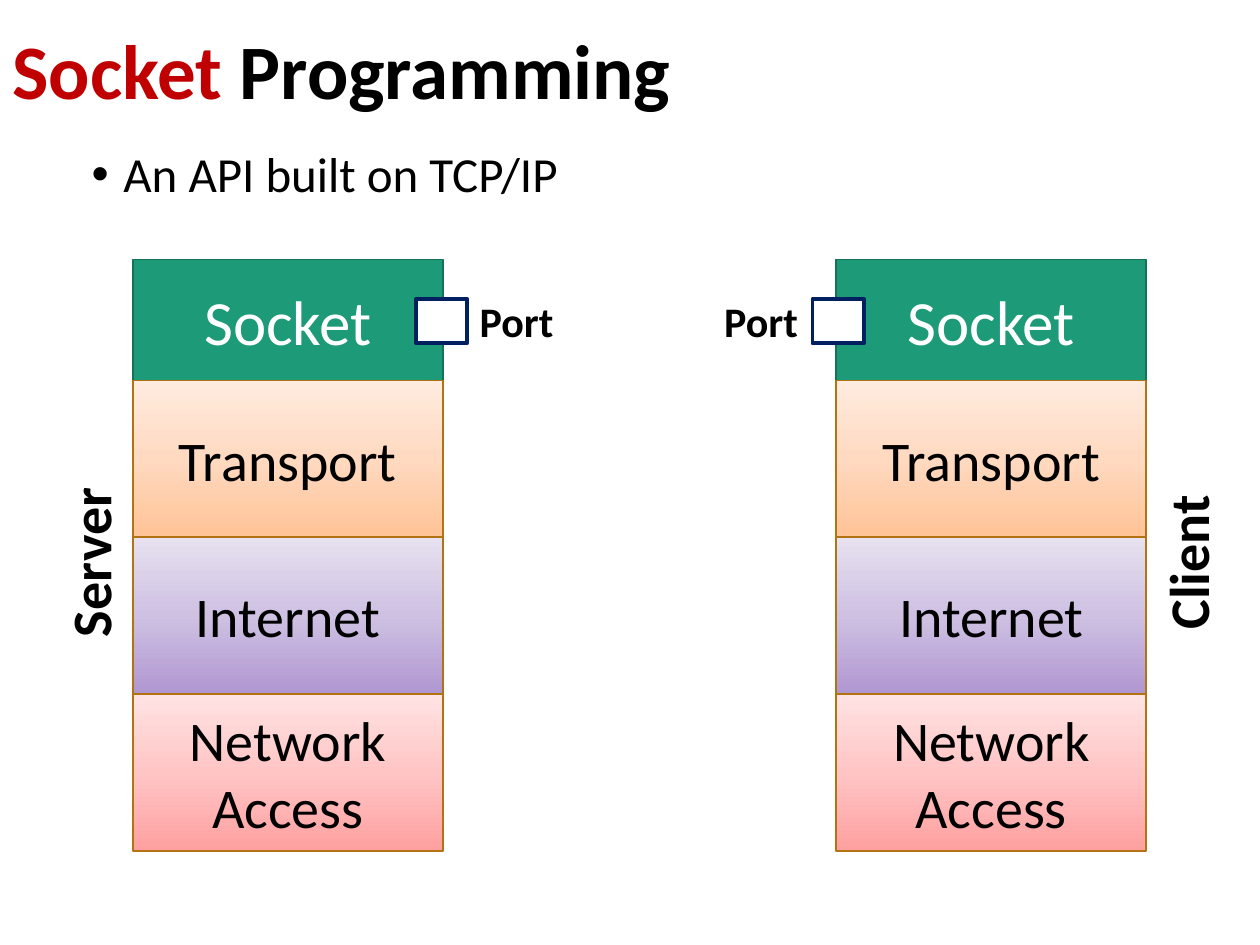
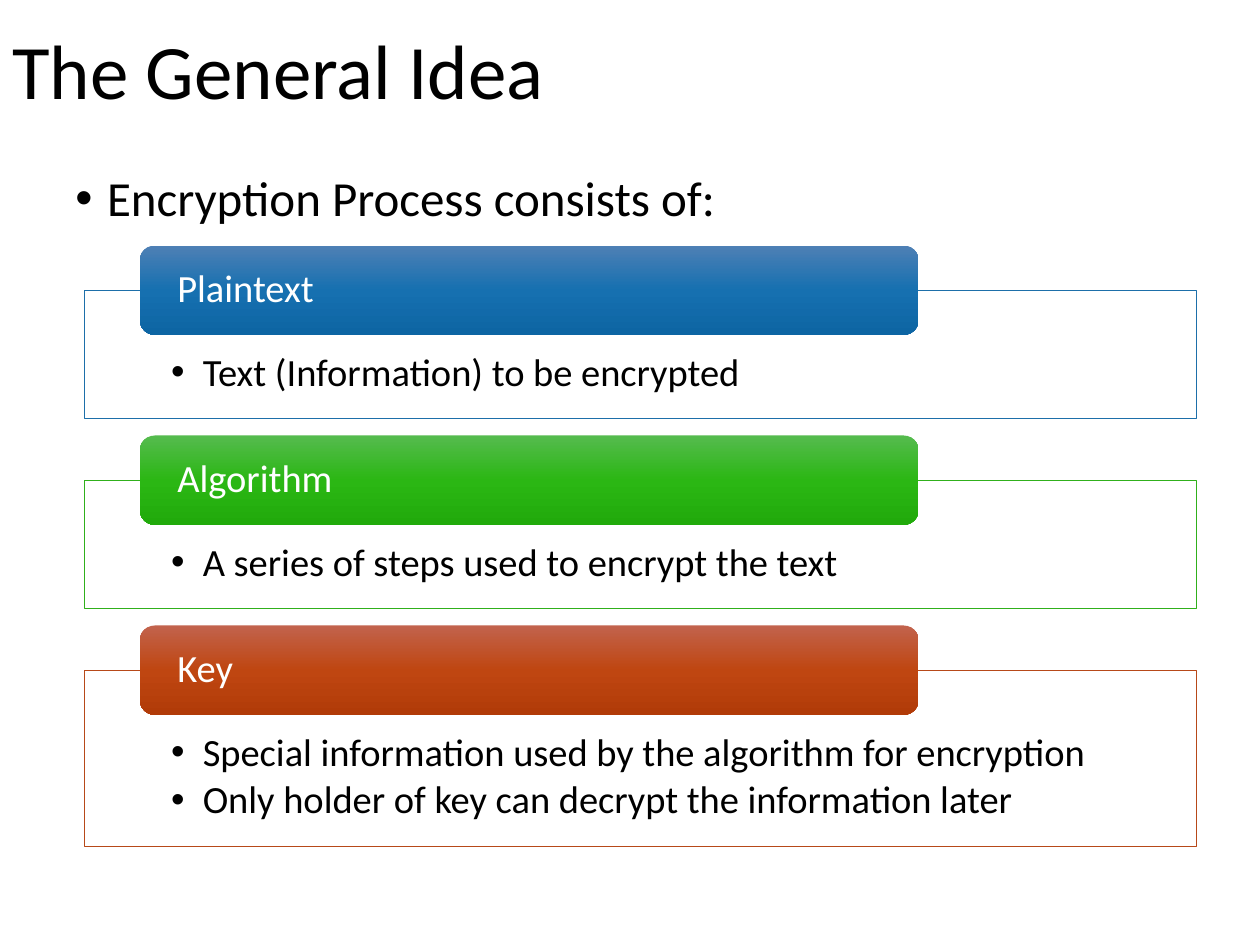
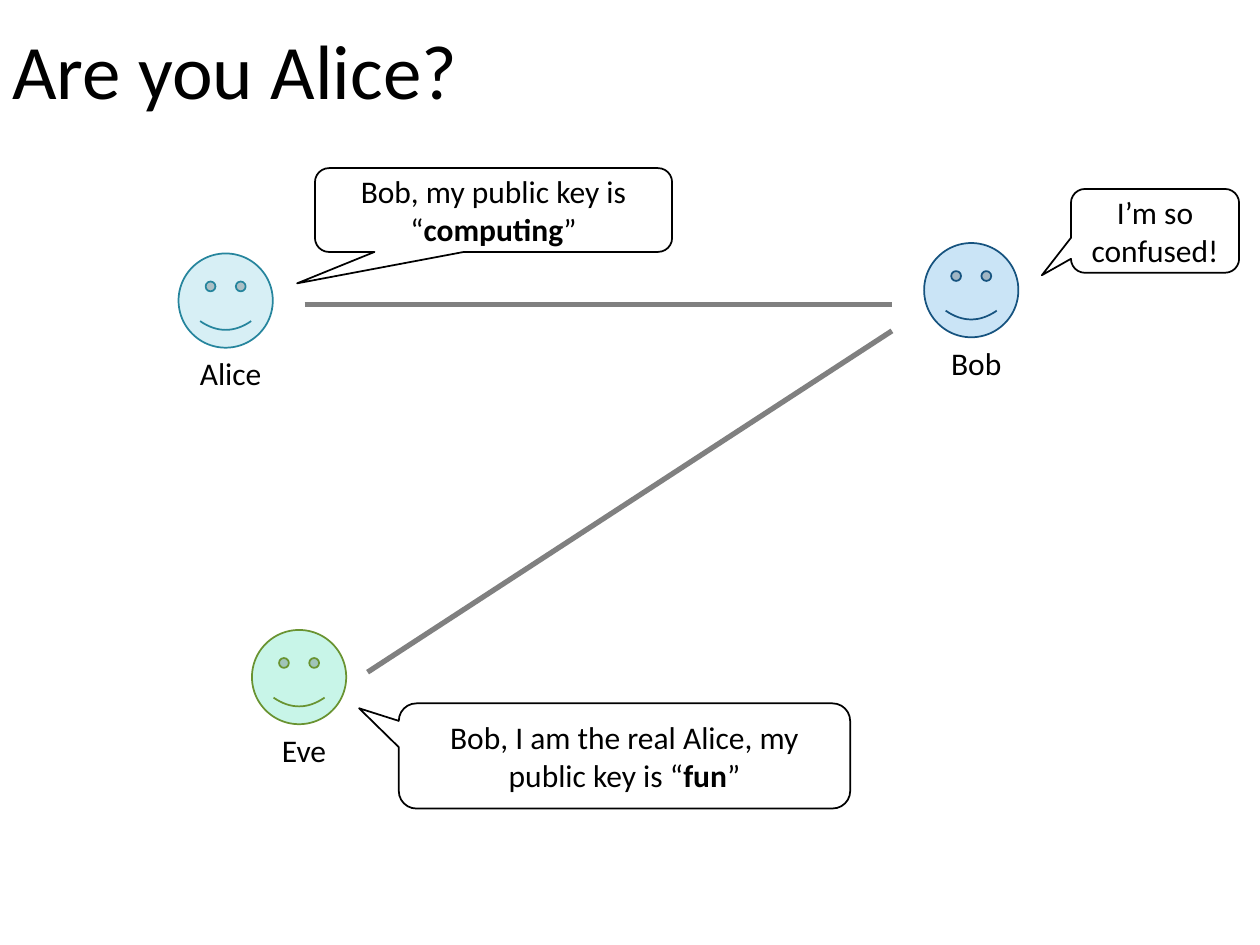
from copy import deepcopy
from dataclasses import dataclass

from pptx import Presentation
from pptx.dml.color import RGBColor
from pptx.enum.shapes import MSO_CONNECTOR as Link, MSO_SHAPE as Form
from pptx.enum.text import MSO_ANCHOR as Anchor, MSO_AUTO_SIZE as Fit, PP_ALIGN as Align
from pptx.oxml.ns import qn
from pptx.oxml.xmlchemy import OxmlElement
from pptx.util import Cm, Pt

COLORS = {
    "ink": "000000",
    "paper": "FFFFFF",
    "accent": "C00000",
    "socket": "1D9A78",
    "socket_edge": "157259",
    "layer_edge": "B27412",
    "port_edge": "002060",
    "plaintext": "1D6FA9",
    "algorithm": "30B01B",
    "key": "B74919",
    "alice": "D7EFF5",
    "alice_edge": "26859D",
    "bob": "CAE4F6",
    "bob_edge": "16537F",
    "eve": "C8F5E8",
    "eve_edge": "699331",
    "channel": "808080",
}
GRADIENTS = {
    "transport": ("FFC497", "FFD9C0", "FFECE0"),
    "internet": ("B197D2", "CEC1E2", "E7E1F0"),
    "network": ("FFA0A0", "FFC5C5", "FFE3E3"),
    "plaintext": ("4E80B5", "1670B0", "0D65A3"),
    "algorithm": ("55BB4E", "2BB714", "21AA0B"),
    "key": ("C2634D", "BF4611", "B13B08"),
}
DOWN, UP = 270, 90


def rgb(name):
    return RGBColor.from_string(COLORS[name])


@dataclass
class Words:
    text: str
    bold: bool = False
    color: str = "ink"


@dataclass
class Look:
    size: int
    align: Align = Align.LEFT
    anchor: Anchor = Anchor.TOP
    spacing: float = 1.0
    before: float = 0
    after: float = 0
    bullet: bool = False
    insets: tuple = (0.25, 0.13, 0.25, 0.13)


TITLE = Look(44, anchor=Anchor.MIDDLE, spacing=0.9)
BODY = Look(28, spacing=0.9, before=10, bullet=True)
SOCKET = Look(36, Align.CENTER, Anchor.MIDDLE)
LAYER = Look(32, Align.CENTER, Anchor.MIDDLE)
ROLE = Look(32, Align.CENTER)
PORT = Look(24)
HEADING = Look(22, anchor=Anchor.MIDDLE, spacing=0.9, insets=(0.67, 0, 0.67, 0))
DETAIL = Look(22, spacing=0.9, after=3.3, bullet=True, insets=(1.75, 1.27, 1.75, 0.43))
SPEECH = Look(18, Align.CENTER, Anchor.MIDDLE)
NAME = Look(18, Align.CENTER)


class Deck:
    font = "Calibri"

    def __init__(self):
        self.show = Presentation()
        self.show.slide_width, self.show.slide_height = Cm(25.4), Cm(19.05)
        self.slide = None

    def start(self, *title):
        self.slide = self.show.slides.add_slide(self.show.slide_layouts[5])
        heading = self.slide.shapes.title
        heading.left, heading.top = Cm(0), Cm(0)
        heading.width, heading.height = Cm(25.4), Cm(3)
        self.label(heading, TITLE, [title])

    def label(self, shape, look, paragraphs):
        frame = shape.text_frame
        frame.word_wrap = True
        frame.auto_size = Fit.NONE
        frame.vertical_anchor = look.anchor
        (frame.margin_left, frame.margin_top,
         frame.margin_right, frame.margin_bottom) = map(Cm, look.insets)
        for index, words in enumerate(paragraphs):
            paragraph = frame.add_paragraph() if index else frame.paragraphs[0]
            paragraph.alignment = look.align
            paragraph.line_spacing = look.spacing
            paragraph.space_before = Pt(look.before)
            paragraph.space_after = Pt(look.after)
            if look.bullet:
                self.bullet(paragraph)
            for part in words:
                run = paragraph.add_run()
                run.text = part.text
                run.font.name = self.font
                run.font.size = Pt(look.size)
                run.font.bold = part.bold
                run.font.color.rgb = rgb(part.color)

    def bullet(self, paragraph):
        props = paragraph._p.get_or_add_pPr()
        props.set("marL", str(Cm(0.64)))
        props.set("indent", str(Cm(-0.64)))
        face = OxmlElement("a:buFont")
        face.set("typeface", "Arial")
        mark = OxmlElement("a:buChar")
        mark.set("char", "•")
        props.extend([face, mark])

    def text(self, box, look, *paragraphs, rotation=0):
        shape = self.slide.shapes.add_textbox(*map(Cm, box))
        shape.rotation = rotation
        self.label(shape, look, paragraphs)

    def shape(self, form, box, fill=None, edge=None, weight=1.0, adjust=()):
        shape = self.slide.shapes.add_shape(form, *map(Cm, box))
        shape.shadow.inherit = False
        for index, value in enumerate(adjust):
            shape.adjustments[index] = value
        if fill:
            shape.fill.solid()
            shape.fill.fore_color.rgb = rgb(fill)
        if edge:
            shape.line.color.rgb = rgb(edge)
            shape.line.width = Pt(weight)
        else:
            shape.line.fill.background()
        return shape

    def shade(self, shape, gradient, angle):
        shape.fill.gradient()
        shape.fill.gradient_angle = angle
        stops = shape._element.spPr.find(qn("a:gradFill")).find(qn("a:gsLst"))
        stops.insert(1, deepcopy(stops[0]))
        for index, stop in enumerate(shape.fill.gradient_stops):
            stop.position = index / 2
            stop.color.rgb = RGBColor.from_string(GRADIENTS[gradient][index])

    def layer(self, box, gradient, label):
        shape = self.shape(Form.RECTANGLE, box, edge="layer_edge")
        self.shade(shape, gradient, UP)
        self.label(shape, LAYER, [[Words(label)]])

    def topic(self, top, height, color, heading, details):
        panel = self.shape(Form.RECTANGLE, (1.7, top + 0.9, 22.43, height),
                           "paper", color, 0.5)
        self.label(panel, DETAIL, [[Words(detail)] for detail in details])
        bar = self.shape(Form.ROUNDED_RECTANGLE, (2.82, top, 15.7, 1.8))
        self.shade(bar, color, DOWN)
        self.label(bar, HEADING, [[Words(heading, color="paper")]])

    def person(self, name, left, top):
        self.shape(Form.SMILEY_FACE, (left, top, 1.9, 1.9),
                   name.lower(), f"{name.lower()}_edge")
        self.text((left - 0.22, top + 1.9, 2.54, 1.02), NAME, [Words(name)])

    def speech(self, box, tail, *words):
        bubble = self.shape(Form.ROUNDED_RECTANGULAR_CALLOUT, box,
                            "paper", "ink", adjust=(*tail, 0.167))
        self.label(bubble, SPEECH, [words])

    def channel(self, *ends):
        line = self.slide.shapes.add_connector(Link.STRAIGHT, *map(Cm, ends))
        line.line.color.rgb = rgb("channel")
        line.line.width = Pt(3)
        line._element.spPr.append(OxmlElement("a:effectLst"))


def socket_programming(deck):
    deck.start(Words("Socket", True, "accent"), Words(" Programming", True))
    deck.text((1.6, 2.9, 21.9, 1.47), BODY, [Words("An API built on TCP/IP")])
    width, step = 6.25, 3.16
    layers = (("transport", "Transport"), ("internet", "Internet"),
              ("network", "Network Access"))
    stacks = (("Server", 2.68, -3.38, 8.38, 9.42),
              ("Client", 16.86, 18.75, 16.38, 14.35))
    for role, left, role_left, port_left, label_left in stacks:
        socket = deck.shape(Form.RECTANGLE, (left, 5.23, width, 2.46),
                            "socket", "socket_edge")
        deck.label(socket, SOCKET, [[Words("Socket", color="paper")]])
        for index, (gradient, label) in enumerate(layers):
            deck.layer((left, 7.67 + index * step, width, step), gradient, label)
        deck.text((role_left, 10.52, 10.36, 1.63), ROLE, [Words(role, True)],
                  rotation=270)
        deck.shape(Form.RECTANGLE, (port_left, 6.03, 1.04, 0.89),
                   "paper", "port_edge", 2.25)
        deck.text((label_left, 5.82, 2.77, 1.27), PORT, [Words("Port", True)])


def general_idea(deck):
    deck.start(Words("The General Idea"))
    deck.text((1.27, 3.38, 22.86, 1.47), BODY,
              [Words("Encryption Process consists of:")])
    topics = (
        ("plaintext", "Plaintext", 2.59, ["Text (Information) to be encrypted"]),
        ("algorithm", "Algorithm", 2.59,
         ["A series of steps used to encrypt the text"]),
        ("key", "Key", 3.56,
         ["Special information used by the algorithm for encryption",
          "Only holder of key can decrypt the information later"]),
    )
    top = 4.95
    for color, heading, height, details in topics:
        deck.topic(top, height, color, heading, details)
        top += height + 1.24


def are_you_alice(deck):
    deck.start(Words("Are you Alice?"))
    for name, left, top in (("Alice", 3.6, 5.11), ("Bob", 18.63, 4.9),
                            ("Eve", 5.08, 12.7)):
        deck.person(name, left, top)
    deck.channel(6.14, 6.14, 17.98, 6.14)
    deck.speech((6.35, 3.39, 7.2, 1.69), (-0.55, 0.875),
                Words("Bob, my public key is “"), Words("computing", True), Words("”"))
    deck.speech((8.04, 14.18, 9.1, 2.12), (-0.588, -0.453),
                Words("Bob, I am the real Alice, my public key is “"),
                Words("fun", True), Words("”"))
    deck.speech((21.59, 3.81, 3.39, 1.69), (-0.673, 0.529),
                Words("I’m so confused!"))
    deck.channel(7.41, 13.55, 17.98, 6.67)


def main():
    deck = Deck()
    socket_programming(deck)
    general_idea(deck)
    are_you_alice(deck)
    deck.show.save("out.pptx")


if __name__ == "__main__":
    main()
